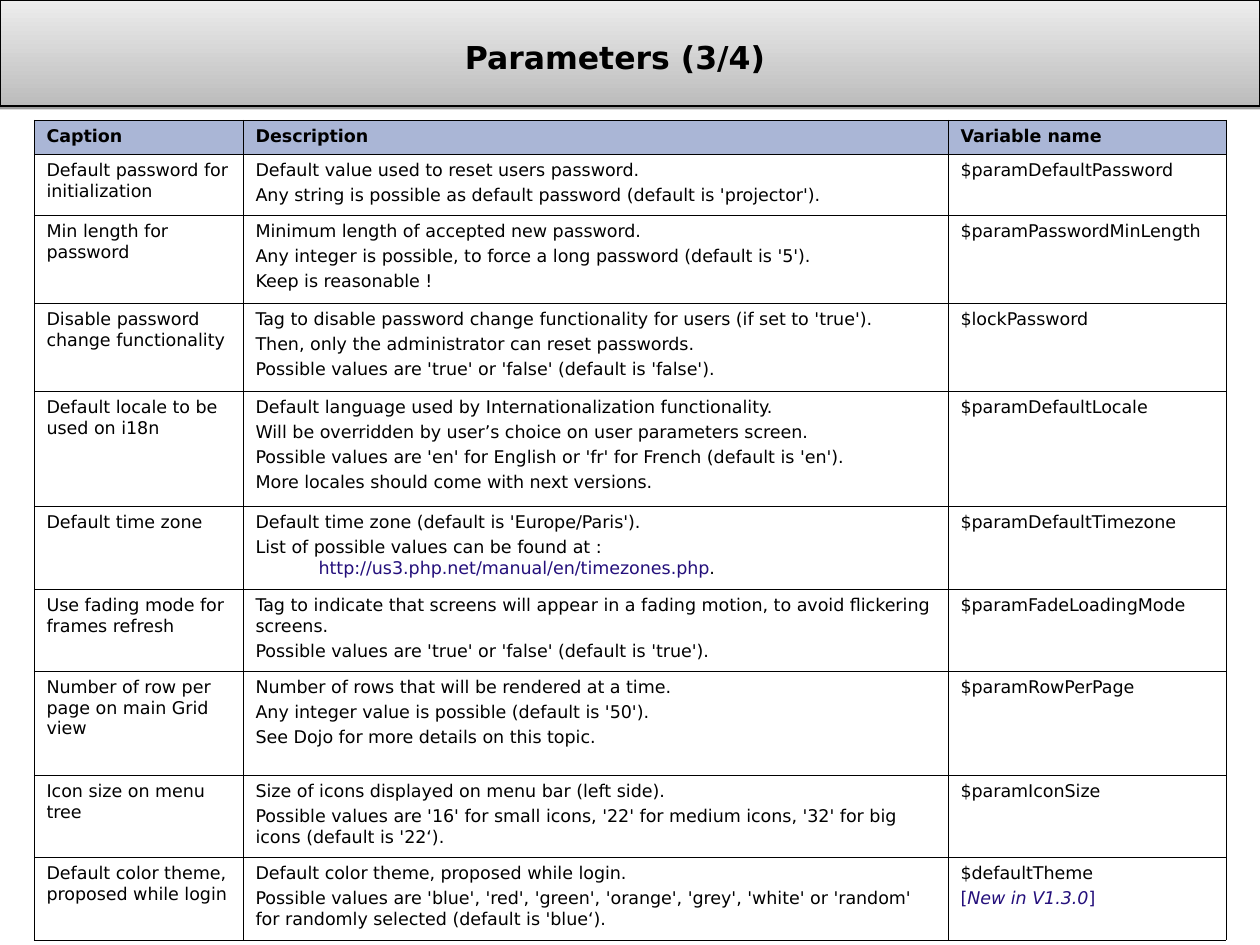
from lxml import etree
from pptx import Presentation
from pptx.dml.color import RGBColor
from pptx.enum.shapes import MSO_SHAPE
from pptx.enum.text import MSO_ANCHOR, PP_ALIGN
from pptx.oxml.ns import qn
from pptx.util import Emu, Pt

RECT = MSO_SHAPE.RECTANGLE
MIDDLE = MSO_ANCHOR.MIDDLE
CENTER = PP_ALIGN.CENTER

SCALE = 914400 / 126
FONT = "DejaVu Sans"
BLACK = "000000"
ACCENT = "240F7B"
HEADER_FILL = "AAB6D6"
BORDER_WIDTH = Pt(0.1)

COL_WIDTHS = [209, 705, 278]
ROW_HEIGHTS = [34, 61, 88, 88, 115, 83, 82, 104, 82, 83]

HEADERS = [["Caption"], ["Description"], ["Variable name"]]
PARAMETERS = [
    [["Default password for initialization"],
     ["Default value used to reset users password.",
      "Any string is possible as default password (default is 'projector')."],
     ["$paramDefaultPassword"]],
    [["Min length for password"],
     ["Minimum length of accepted new password.",
      "Any integer is possible, to force a long password (default is '5').",
      "Keep is reasonable !"],
     ["$paramPasswordMinLength"]],
    [["Disable password change functionality"],
     ["Tag to disable password change functionality for users (if set to 'true').",
      "Then, only the administrator can reset passwords.",
      "Possible values are 'true' or 'false' (default is 'false')."],
     ["$lockPassword"]],
    [["Default locale to be used on i18n"],
     ["Default language used by Internationalization functionality.",
      "Will be overridden by user’s choice on user parameters screen.",
      "Possible values are 'en' for English or 'fr' for French (default is 'en').",
      "More locales should come with next versions."],
     ["$paramDefaultLocale"]],
    [["Default time zone"],
     ["Default time zone (default is 'Europe/Paris').",
      [("List of possible values can be found at :\v\t", BLACK, False),
       ("http://us3.php.net/manual/en/timezones.php", ACCENT, False),
       (".", BLACK, False)]],
     ["$paramDefaultTimezone"]],
    [["Use fading mode for frames refresh"],
     ["Tag to indicate that screens will appear in a fading motion, "
      "to avoid flickering screens.",
      "Possible values are 'true' or 'false' (default is 'true')."],
     ["$paramFadeLoadingMode"]],
    [["Number of row per page on main Grid view"],
     ["Number of rows that will be rendered at a time.",
      "Any integer value is possible (default is '50').",
      "See Dojo for more details on this topic."],
     ["$paramRowPerPage"]],
    [["Icon size on menu tree"],
     ["Size of icons displayed on menu bar (left side).",
      "Possible values are '16' for small icons, '22' for medium icons, "
      "'32' for big icons (default is '22‘)."],
     ["$paramIconSize"]],
    [["Default color theme, proposed while login"],
     ["Default color theme, proposed while login.",
      "Possible values are 'blue', 'red', 'green', 'orange', 'grey', 'white' "
      "or 'random' for randomly selected (default is 'blue‘)."],
     ["$defaultTheme",
      [("[", ACCENT, False), ("New in V1.3.0", ACCENT, True), ("]", ACCENT, False)]]],
]


def px(n):
    return Emu(round(n * SCALE))


def rgb(color):
    return RGBColor.from_string(color)


def format_run(r, size, color=BLACK, bold=False, italic=False):
    r.font.name = FONT
    r.font.size = Pt(size)
    r.font.bold = bold
    r.font.italic = italic
    r.font.color.rgb = rgb(color)


def add_banner(slide):
    sp = slide.shapes.add_shape(RECT, 0, 0, px(1260), px(106))
    sp.fill.gradient()
    sp.fill.gradient_angle = 90
    for stop, color in zip(sp.fill.gradient_stops, ["BCBCBC", "EDEDED"]):
        stop.color.rgb = rgb(color)
    sp.line.color.rgb = rgb(BLACK)
    sp.line.width = Pt(0.75)
    sp.shadow.inherit = False
    effects = sp._element.spPr.find(qn("a:effectLst"))
    shadow = etree.SubElement(effects, qn("a:outerShdw"), blurRad="0",
                              dist=str(Pt(1.6)), dir="5400000", rotWithShape="0")
    color = etree.SubElement(shadow, qn("a:srgbClr"), val=BLACK)
    etree.SubElement(color, qn("a:alpha"), val="38000")


def add_title(slide, text):
    tf = slide.shapes.add_textbox(px(382), px(17), px(466), px(79)).text_frame
    tf.word_wrap = True
    tf.vertical_anchor = MIDDLE
    tf.margin_left = tf.margin_top = tf.margin_right = tf.margin_bottom = 0
    tf.text = text
    p = tf.paragraphs[0]
    p.alignment = CENTER
    format_run(p.runs[0], 18, bold=True)


def set_borders(cell):
    tc_pr = cell._tc.get_or_add_tcPr()
    for side in ["lnL", "lnR", "lnT", "lnB"]:
        ln = etree.SubElement(tc_pr, qn(f"a:{side}"), w=str(BORDER_WIDTH))
        fill = etree.SubElement(ln, qn("a:solidFill"))
        etree.SubElement(fill, qn("a:srgbClr"), val=BLACK)


def add_tab_stop(p, pos):
    tabs = etree.SubElement(p._p.get_or_add_pPr(), qn("a:tabLst"))
    etree.SubElement(tabs, qn("a:tab"), pos=str(px(pos)), algn="l")


def write_paragraph(p, content, bold):
    segments = [(content, BLACK, False)] if isinstance(content, str) else content
    p.space_before = Pt(2.5)
    p.line_spacing = 1.01
    if any("\t" in text for text, _, _ in segments):
        add_tab_stop(p, 63)
    for i, (text, color, italic) in enumerate(segments):
        done = len(p.runs)
        if i == 0:
            p.text = text
        else:
            p.add_run().text = text
        for r in p.runs[done:]:
            format_run(r, 10, color, bold, italic)


def fill_cell(cell, paragraphs, is_header):
    set_borders(cell)
    if is_header:
        cell.fill.solid()
        cell.fill.fore_color.rgb = rgb(HEADER_FILL)
    else:
        cell.fill.background()
    tf = cell.text_frame
    for i, content in enumerate(paragraphs):
        p = tf.add_paragraph() if i else tf.paragraphs[0]
        write_paragraph(p, content, is_header)


def add_parameter_table(slide):
    rows = [HEADERS] + PARAMETERS
    table = slide.shapes.add_table(
        len(rows), len(COL_WIDTHS), px(34), px(120),
        px(sum(COL_WIDTHS)), px(sum(ROW_HEIGHTS))).table
    table.first_row = False
    table.horz_banding = False
    for column, width in zip(table.columns, COL_WIDTHS):
        column.width = px(width)
    for i, (row, height) in enumerate(zip(table.rows, ROW_HEIGHTS)):
        row.height = px(height)
        for cell, paragraphs in zip(row.cells, rows[i]):
            fill_cell(cell, paragraphs, i == 0)


def main():
    prs = Presentation()
    prs.slide_width = px(1260)
    prs.slide_height = px(945)
    slide = prs.slides.add_slide(prs.slide_layouts[6])
    add_banner(slide)
    add_title(slide, "Parameters (3/4)")
    add_parameter_table(slide)
    prs.save("out.pptx")


if __name__ == "__main__":
    main()
